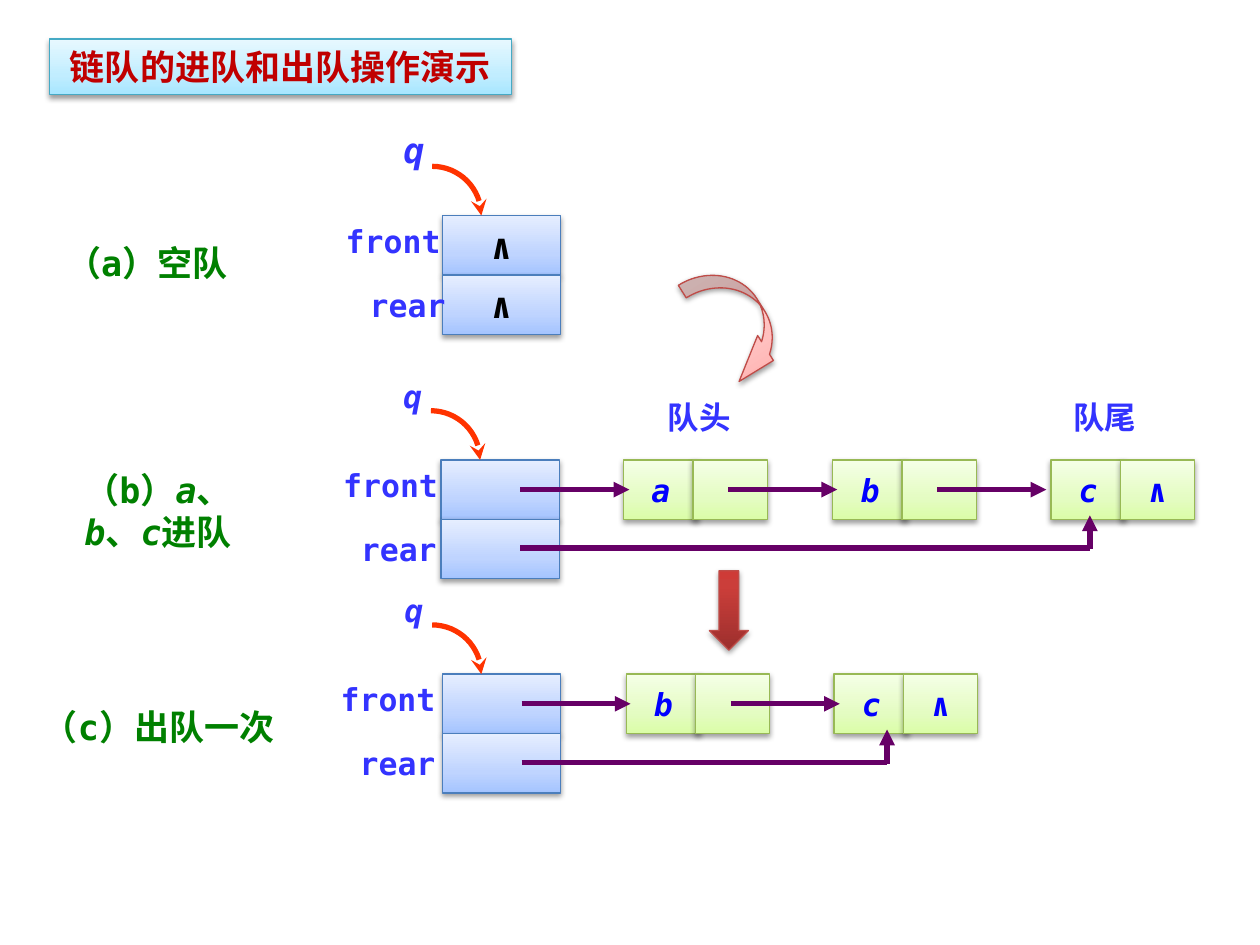
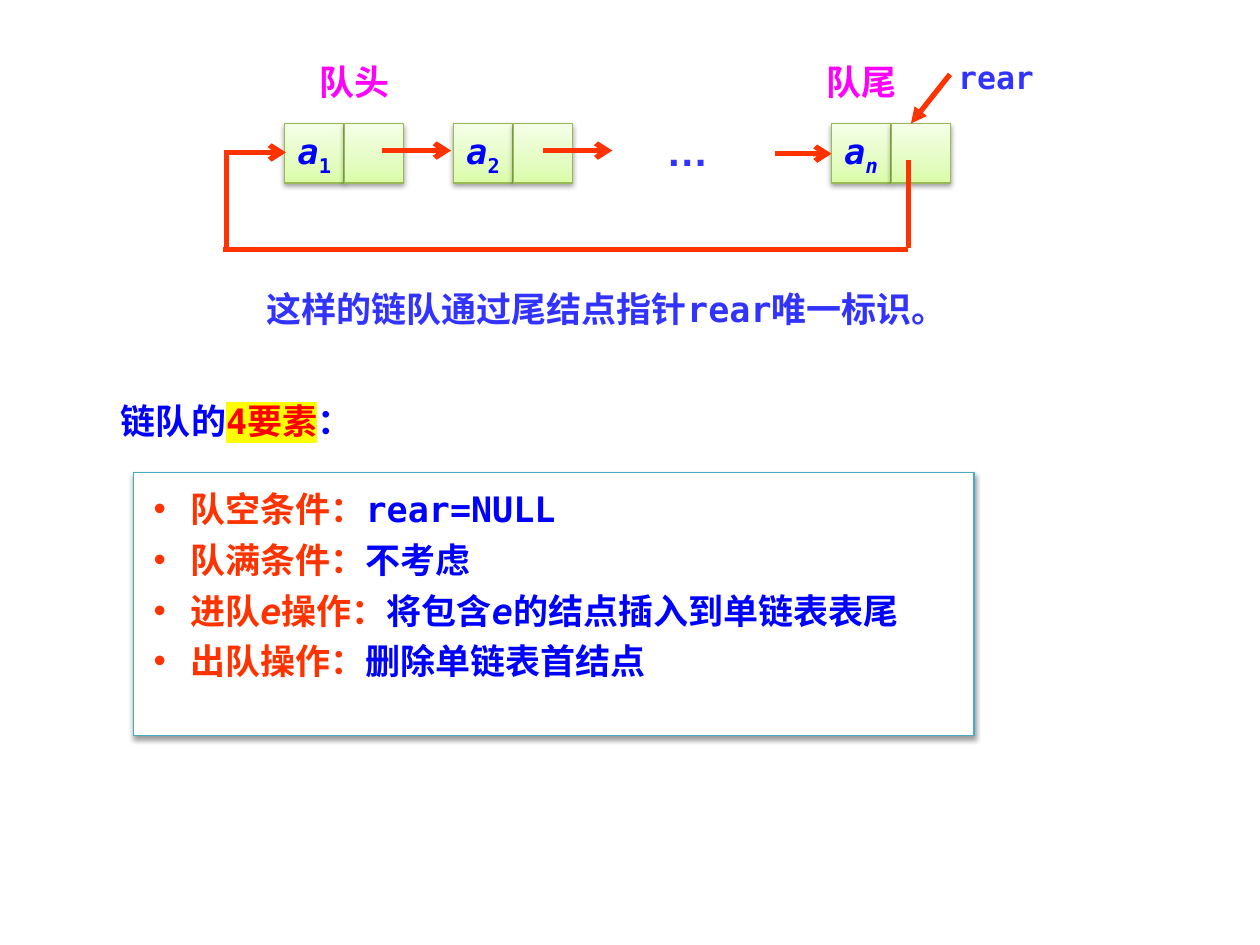
from copy import deepcopy
from math import cos, pi, sin

from lxml import etree
from pptx import Presentation
from pptx.dml.color import RGBColor
from pptx.enum.shapes import MSO_CONNECTOR, MSO_SHAPE
from pptx.enum.text import MSO_ANCHOR, MSO_AUTO_SIZE, PP_ALIGN
from pptx.oxml.ns import qn
from pptx.util import Inches, Pt

RECT, DOWN_ARROW = MSO_SHAPE.RECTANGLE, MSO_SHAPE.DOWN_ARROW
CURVED_ARROW = MSO_SHAPE.CURVED_LEFT_ARROW
STRAIGHT = MSO_CONNECTOR.STRAIGHT
LEFT, CENTER = PP_ALIGN.LEFT, PP_ALIGN.CENTER
TOP, MIDDLE = MSO_ANCHOR.TOP, MSO_ANCHOR.MIDDLE
NO_FIT = MSO_AUTO_SIZE.NONE

MONO, CJK = "DejaVu Sans Mono", "Noto Sans CJK SC"
INDIGO, BLUE, GREEN, ORANGE = "3333FF", "0000FF", "008000", "FF3300"
PURPLE, MAGENTA, BLACK = "660066", "FF00FF", "000000"
TEAL_LINE = "46AAC5"

# Each look: line colour, then gradient stops from bottom to top
SKY = (TEAL_LINE, [(0, "A7E6FF"), (0.35, "C1EDFF"), (1, "E7F8FF")])
RECORD = ("4B7EBC", [(0, "A4C4FF"), (0.35, "BFD4FF"), (1, "E6EEFF")])
NODE = ("98B955", [(0, "DAFDA7"), (0.35, "E4FCC2"), (1, "F5FFE7")])
PINK = ("BF4C48", [(0, "FFA6A5"), (0.35, "FFC0BF"), (1, "FFE7E7")])
RED = ("BF4C48", [(0, "9C2F2D"), (0.8, "CB3E3A"), (1, "CE3B37")])

ITALIC = {"italic": True}
CELL_H = 4.72


def rgb(value):
    return RGBColor.from_string(value)


class Deck:
    """Draws on a grid of 100 columns by 75 rows."""

    def __init__(self):
        self.prs = Presentation()
        self.prs.slide_width, self.prs.slide_height = Inches(10), Inches(7.5)
        self.unit = self.prs.slide_width / 100

    def new_slide(self, layout):
        self.slide = self.prs.slides.add_slide(self.prs.slide_layouts[layout])
        self.shapes = self.slide.shapes

    def grid(self, *values):
        return [round(v * self.unit) for v in values]

    def place(self, sp, *box):
        sp.left, sp.top, sp.width, sp.height = self.grid(*box)
        tf = sp.text_frame
        tf.word_wrap, tf.auto_size, tf.vertical_anchor = True, NO_FIT, TOP
        return tf

    # Text
    def set_text(self, p, runs, size, color, font=MONO, align=CENTER, before=0):
        p.alignment, p.space_before = align, Pt(before)
        p.font.size, p.font.bold, p.font.name = Pt(size), True, font
        p.font.color.rgb = rgb(color)
        def_rpr = p._p.pPr.find(qn("a:defRPr"))
        etree.SubElement(def_rpr, qn("a:ea"), typeface=font)
        for text, style in [(runs, {})] if isinstance(runs, str) else runs:
            r = p.add_run()
            r.text = text
            if "italic" in style:
                r.font.italic = True
            if "color" in style:
                r.font.color.rgb = rgb(style["color"])
            rpr = r._r.get_or_add_rPr()
            if "sub" in style:
                rpr.set("baseline", "-25000")
            if "mark" in style:
                mark = etree.SubElement(rpr, qn("a:highlight"))
                etree.SubElement(mark, qn("a:srgbClr"), val=style["mark"])

    def label(self, x, y, w, h, runs, size=18, color=INDIGO, font=MONO):
        tf = self.place(self.shapes.add_textbox(0, 0, 0, 0), x, y, w, h)
        self.set_text(tf.paragraphs[0], runs, size, color, font)

    def title(self, box, runs, color, font=MONO, align=CENTER):
        sp = self.shapes.title
        self.set_text(self.place(sp, *box).paragraphs[0], runs, 20, color, font, align)
        return sp

    def bullets(self, box, items):
        sp = self.slide.placeholders[1]
        tf = self.place(sp, *box)
        tf.margin_left = tf.margin_right = self.grid(1.6)[0]
        tf.margin_top = tf.margin_bottom = self.grid(1.2)[0]
        indent = self.grid(2.9)[0]
        for i, runs in enumerate(items):
            p = tf.add_paragraph() if i else tf.paragraphs[0]
            ppr = p._p.get_or_add_pPr()
            ppr.set("marL", str(indent))
            ppr.set("indent", str(-indent))
            self.set_text(p, runs, 20, ORANGE, align=LEFT, before=5 if i else 0)
        return sp

    # Surfaces
    def outline(self, sp, color):
        sp.line.color.rgb, sp.line.width = rgb(color), Pt(0.75)
        sp.shadow.inherit = False
        effects = sp._element.spPr.find(qn("a:effectLst"))
        shadow = etree.SubElement(effects, qn("a:outerShdw"), blurRad="40000",
                                  dist="20000", dir="5400000", rotWithShape="0")
        tint = etree.SubElement(shadow, qn("a:srgbClr"), val=BLACK)
        etree.SubElement(tint, qn("a:alpha"), val="38000")

    def paint(self, sp, look):
        line, stops = look
        sp.fill.gradient()
        sp.fill.gradient_angle = 90
        stop_list = sp._element.spPr.find(".//" + qn("a:gsLst"))
        stop_list.insert(1, deepcopy(stop_list[0]))
        for stop, (position, color) in zip(sp.fill.gradient_stops, stops):
            stop.position, stop.color.rgb = position, rgb(color)
        self.outline(sp, line)

    def shape(self, kind, box, look):
        sp = self.shapes.add_shape(kind, *self.grid(*box))
        self.paint(sp, look)
        return sp

    def cell(self, x, y, w, look, runs="", size=18, color=BLUE):
        sp = self.shape(RECT, (x, y, w, CELL_H), look)
        if runs:
            tf = sp.text_frame
            tf.word_wrap, tf.vertical_anchor = False, MIDDLE
            self.set_text(tf.paragraphs[0], runs, size, color)

    # Lines
    def stroke(self, sp, color, tip):
        sp.line.color.rgb, sp.line.width = rgb(color), Pt(3)
        if tip:
            ln = sp._element.spPr.find(qn("a:ln"))
            etree.SubElement(ln, qn("a:tailEnd"), type=tip)

    def line(self, x1, y1, x2, y2, color, tip=None):
        c = self.shapes.add_connector(STRAIGHT, *self.grid(x1, y1, x2, y2))
        self.stroke(c, color, tip)
        etree.SubElement(c._element.spPr, qn("a:effectLst"))

    def quarter_arrow(self, x, y, radius, steps=16):
        turns = [pi / 2 * i / steps for i in range(steps + 1)]
        points = [self.grid(x + radius * sin(t), y + radius * (1 - cos(t))) for t in turns]
        builder = self.shapes.build_freeform(*points[0])
        builder.add_line_segments(points[1:], close=False)
        sp = builder.convert_to_shape()
        sp.fill.background()
        sp.shadow.inherit = False
        self.stroke(sp, ORANGE, "stealth")

    # Queue parts
    def record(self, x, y, front_x, rear_x, q_rise=7.1, q_size=18, mark=""):
        for row in range(2):
            self.cell(x, y + row * CELL_H, 9.4, RECORD, mark, 20, BLACK)
        self.quarter_arrow(x - 0.8, y - 3.9, 3.9)
        self.label(x - 4.6, y - q_rise, 4.7, 4.2, [("q", ITALIC)], q_size)
        self.label(front_x, y, 10, 4, "front")
        self.label(rear_x, y + 5.1, 8.7, 4, "rear")

    def chain(self, x, y, nodes, tail_x):
        """Linked nodes of a record at x, y; nodes holds (left, letter)."""
        mid, start = y + CELL_H / 2, x + 6.3
        for i, (left, letter) in enumerate(nodes):
            last = i == len(nodes) - 1
            self.cell(left, y, 5.9, NODE, [(letter, ITALIC)])
            self.cell(left + 5.5, y, 5.9, NODE, "∧" if last else "")
        for source in [start] + [left + 8.3 for left, _ in nodes[:-1]]:
            self.line(source, mid, source + 8.65, mid, PURPLE, "triangle")
        self.line(start, y + 7, tail_x, y + 7, PURPLE)
        self.line(tail_x, y + 7.1, tail_x, y + 4.4, PURPLE, "triangle")


def build_demo(deck):
    deck.new_slide(5)
    sp = deck.title((3.9, 3.1, 36.7, 4.4), "链队的进队和出队操作演示", "C00000", CJK)
    deck.paint(sp, SKY)

    # (a) empty queue
    deck.record(35.1, 17.1, 26.2, 28, 7.4, 20, "∧")
    deck.label(3, 18.7, 17.3, 4.4, "（a）空队", 20, GREEN)

    # (b) three elements entered
    deck.record(35, 36.5, 26, 27.3)
    deck.chain(35, 36.5, [(49.5, "a"), (66.1, "b"), (83.4, "c")], 86.5)
    for x, text in [(50, "队头"), (82.2, "队尾")]:
        deck.label(x, 31.1, 11, 4, text, font=CJK)
    entered = [("（b）", {}), ("a", ITALIC), ("、", {}), ("b", ITALIC),
               ("、", {}), ("c", ITALIC), ("进队", {})]
    deck.label(3.9, 36.7, 17.3, 7.7, entered, 20, GREEN)

    # (c) one element removed
    deck.record(35.1, 53.5, 25.8, 27.2)
    deck.chain(35.1, 53.5, [(49.7, "b"), (66.2, "c")], 70.4)
    deck.label(0.8, 55.5, 23.6, 4.4, "（c）出队一次", 20, GREEN)

    # Steps between the stages
    sp = deck.shape(CURVED_ARROW, (56.2, 20.6, 4.7, 10.2), PINK)
    sp.rotation = 327.7
    for i, value in enumerate((0.25, 0.5, 0.68)):
        sp.adjustments[i] = value
    deck.shape(DOWN_ARROW, (56.3, 45.3, 3.1, 6.3), RED)


def build_circular(deck):
    deck.new_slide(1)
    blue, blue_italic = {"color": BLUE}, {"color": BLUE, "italic": True}

    # Four elements of the queue
    marked = {"color": "FF0000", "mark": "FFFF00"}
    deck.title((8.6, 31.2, 28.5, 4.4),
               [("链队的", {}), ("4要素", marked), ("：", {})], BLUE, align=LEFT)
    sp = deck.bullets((10.6, 37.5, 66.7, 20.9), [
        [("队空条件：", {}), ("rear=NULL", blue)],
        [("队满条件：", {}), ("不考虑", blue)],
        [("进队", {}), ("e", ITALIC), ("操作：", {}), ("将包含", blue),
         ("e", blue_italic), ("的结点插入到单链表表尾", blue)],
        [("出队操作：", {}), ("删除单链表首结点", blue)],
    ])
    sp.fill.solid()
    sp.fill.fore_color.rgb = rgb("FFFFFF")
    deck.outline(sp, TEAL_LINE)

    # Nodes
    for x, index, style in [(22.6, "1", {}), (36, "2", {}), (66, "n", ITALIC)]:
        runs = [("a", ITALIC), (index, {"sub": True, **style})]
        deck.cell(x, 9.8, 4.7, NODE, runs, 20)
        deck.cell(x + 4.75, 9.8, 4.7, NODE)
    deck.label(50.2, 9.4, 8.7, 5, "…", 24, font="Arial")

    # Links between nodes
    for x1, x2, y in [(17.9, 22.7, 12.1), (30.3, 35.8, 11.95),
                      (43.1, 48.6, 11.95), (61.5, 66, 12.2)]:
        deck.line(x1, y, x2, y, ORANGE, "arrow")

    # Way back from the tail to the head
    deck.line(72.1, 12.7, 72.1, 19.7, ORANGE)
    deck.line(17.7, 19.8, 72.1, 19.8, ORANGE)
    deck.line(18, 11.9, 18, 19.9, ORANGE)

    # Labels
    deck.line(75.4, 5.9, 72.3, 9.8, ORANGE, "triangle")
    deck.label(74.7, 4.1, 8.7, 4, "rear")
    for x, text in [(23.4, "队头"), (63.6, "队尾")]:
        deck.label(x, 4.3, 9.5, 4.4, text, 20, MAGENTA, CJK)
    deck.label(12.7, 22.3, 70.9, 4.4, "这样的链队通过尾结点指针rear唯一标识。", 20)


def main():
    deck = Deck()
    build_demo(deck)
    build_circular(deck)
    deck.prs.save("out.pptx")


if __name__ == "__main__":
    main()
